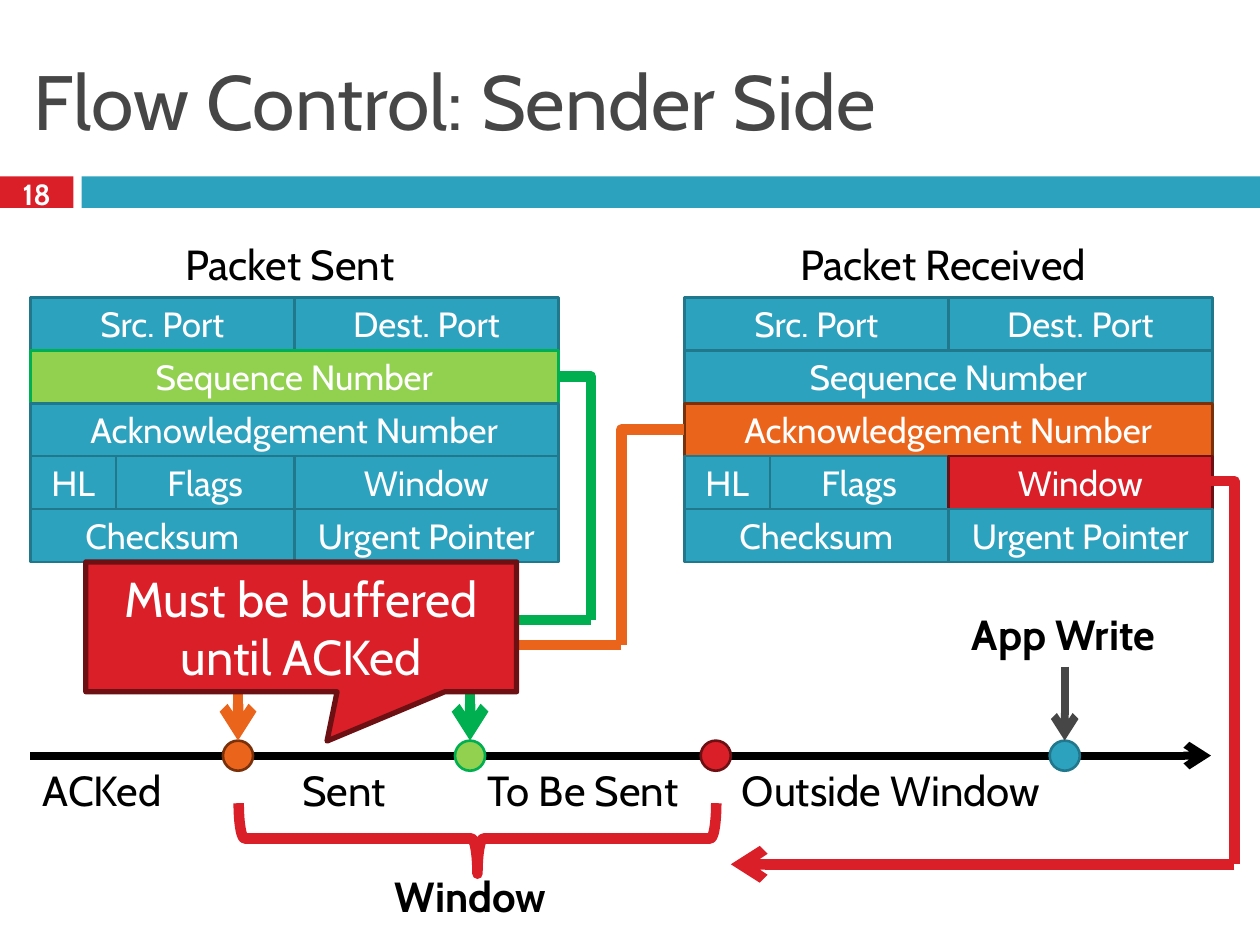
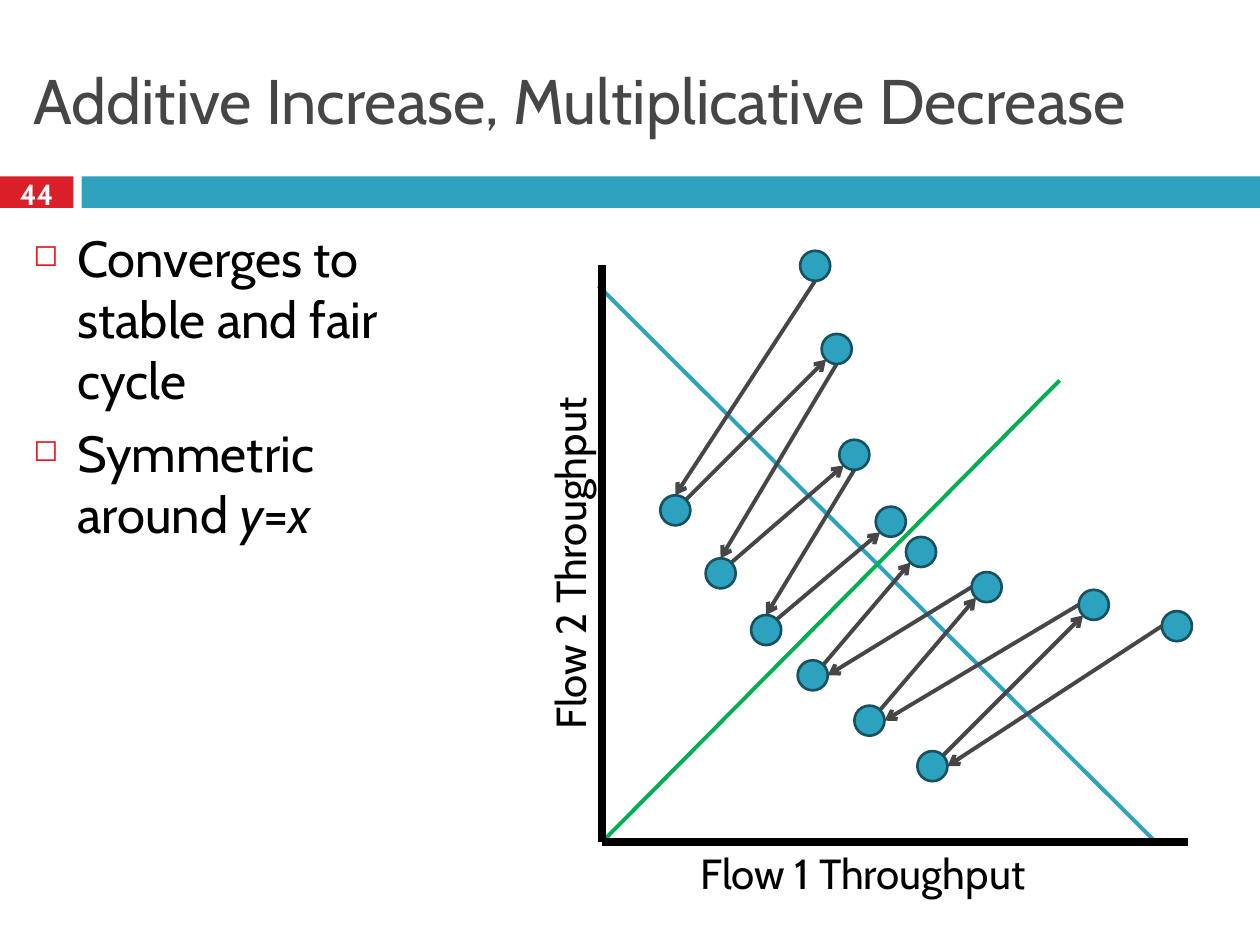
from lxml import etree
from pptx import Presentation
from pptx.dml.color import RGBColor
from pptx.enum.shapes import MSO_CONNECTOR, MSO_SHAPE
from pptx.enum.text import MSO_ANCHOR, PP_ALIGN
from pptx.oxml.ns import qn
from pptx.util import Pt

RECT, OVAL = MSO_SHAPE.RECTANGLE, MSO_SHAPE.OVAL
BRACE, CALLOUT = MSO_SHAPE.LEFT_BRACE, MSO_SHAPE.RECTANGULAR_CALLOUT
STRAIGHT, ELBOW = MSO_CONNECTOR.STRAIGHT, MSO_CONNECTOR.ELBOW
LEFT, CENTER = PP_ALIGN.LEFT, PP_ALIGN.CENTER
TOP, MIDDLE = MSO_ANCHOR.TOP, MSO_ANCHOR.MIDDLE

FONT = "Cabin"
BLACK, WHITE, GRAY = "000000", "FFFFFF", "464646"
TEAL, RED, ORANGE, LIME, GREEN = "2DA2BF", "DA1F28", "EB641B", "92D050", "00B050"
TEAL_STYLE = (TEAL, "21788D")
DOT_STYLE = (TEAL, "175160")
RED_STYLE = (RED, "6D1014")
ORANGE_STYLE = (ORANGE, "78310B")
GREEN_STYLE = (LIME, GREEN)

ROW_TOP, ROW_PITCH = 169.9, 30.25
HALF, HL_WIDTH = 150.9, 49
PACKET_ROWS = [
    [("Src. Port", HALF), ("Dest. Port", HALF)],
    [("Sequence Number", 2 * HALF)],
    [("Acknowledgement Number", 2 * HALF)],
    [("HL", HL_WIDTH), ("Flags", HALF - HL_WIDTH), ("Window", HALF)],
    [("Checksum", HALF), ("Urgent Pointer", HALF)],
]
SENT_LEFT, RECEIVED_LEFT = 17.3, 391
TIMELINE_Y = 431.8
ACKED_X, SENT_X, WINDOW_X, WRITE_X = 136, 268.6, 409, 608.4

RADIUS, DIAGONAL = 8.6, 6.1
UPPER_CYCLE = [(465.8, 151.9), (385.9, 291.6), (478.1, 199.4), (411.8, 327.6),
               (488.2, 259.9), (437.8, 360), (509, 298.1)]
LOWER_CYCLE = [(672.5, 357.8), (532.8, 437.8), (625, 345.6), (496.8, 411.8),
               (563.8, 335.5), (464.4, 385.9), (526.3, 315.4)]


def color(value):
    return RGBColor.from_string(value)


def write(p, text, size=24, fill=BLACK, bold=False, italic=False):
    r = p.add_run()
    r.text = text
    r.font.name = FONT
    r.font.size = Pt(size)
    r.font.bold = bold
    r.font.italic = italic
    r.font.color.rgb = color(fill)


def fill_frame(sp, text, align=LEFT, anchor=TOP, wrap=True, **fmt):
    tf = sp.text_frame
    tf.word_wrap = wrap
    tf.vertical_anchor = anchor
    p = tf.paragraphs[0]
    p.alignment = align
    write(p, text, **fmt)


def add_text(s, text, x, y, w, h, rotation=0, **fmt):
    sp = s.shapes.add_textbox(Pt(x), Pt(y), Pt(w), Pt(h))
    sp.rotation = rotation
    fill_frame(sp, text, **fmt)


def add_label(s, text, x, y, w, **fmt):
    add_text(s, text, x, y, w, 36, wrap=False, **fmt)


def add_box(s, kind, x, y, w, h, fill=None, line=None, width=1.5):
    sp = s.shapes.add_shape(kind, Pt(x), Pt(y), Pt(w), Pt(h))
    sp.shadow.inherit = False
    if fill:
        sp.fill.solid()
        sp.fill.fore_color.rgb = color(fill)
    else:
        sp.fill.background()
    if line:
        sp.line.color.rgb = color(line)
        sp.line.width = Pt(width)
    else:
        sp.line.fill.background()
    return sp


def add_dot(s, x, y, style):
    add_box(s, OVAL, x - RADIUS, y - RADIUS, 2 * RADIUS, 2 * RADIUS, *style)


def add_line(s, start, end, line, width, arrow=False, kind=STRAIGHT):
    cn = s.shapes.add_connector(kind, *map(Pt, start + end))
    cn.line.color.rgb = color(line)
    cn.line.width = Pt(width)
    if arrow:
        etree.SubElement(cn.line._get_or_add_ln(), qn("a:tailEnd"), type="arrow")
    sppr = cn._element.spPr
    etree.SubElement(sppr, qn("a:effectLst"))
    return sppr


def add_elbow(s, start, end, line, arrow=False):
    sppr = add_line(s, start, end, line, 6, arrow, ELBOW)
    sppr.find(qn("a:prstGeom")).set("prst", "bentConnector2")
    if end[0] < start[0]:
        xfrm = sppr.find(qn("a:xfrm"))
        xfrm.attrib.pop("flipH")
        xfrm.set("rot", "10800000")
        xfrm.set("flipV", "1")


def add_bullets(s, items, x, y, w, h, size):
    tf = s.shapes.add_textbox(Pt(x), Pt(y), Pt(w), Pt(h)).text_frame
    tf.word_wrap = True
    for i, runs in enumerate(items):
        p = tf.add_paragraph() if i else tf.paragraphs[0]
        ppr = p._p.get_or_add_pPr()
        ppr.set("marL", str(Pt(25.2)))
        ppr.set("indent", str(-Pt(25.2)))
        bullet_color = etree.SubElement(ppr, qn("a:buClr"))
        etree.SubElement(bullet_color, qn("a:srgbClr"), val=RED)
        etree.SubElement(ppr, qn("a:buSzPct"), val="60000")
        etree.SubElement(ppr, qn("a:buChar"), char="◻")
        if i:
            p.space_before = Pt(7)
        for text, italic in runs:
            write(p, text, size=size, italic=italic)


def add_base(prs, title, number, size):
    s = prs.slides.add_slide(prs.slide_layouts[6])
    add_box(s, RECT, 0, 100.8, 42, 18, RED)
    add_box(s, RECT, 46.6, 100.8, 673.4, 18, TEAL)
    add_text(s, title, 12, 18, 696, 78, anchor=MIDDLE, size=size, fill=GRAY)
    add_text(s, number, 0, 98.8, 42, 24, align=CENTER, anchor=MIDDLE,
             size=16.6, fill=WHITE, bold=True)
    return s


def add_packet(s, left, highlights):
    for i, row in enumerate(PACKET_ROWS):
        x = left
        for field, width in row:
            style = highlights.get(field, TEAL_STYLE)
            sp = add_box(s, RECT, x, ROW_TOP + i * ROW_PITCH, width, ROW_PITCH, *style)
            fill_frame(sp, field, align=CENTER, anchor=MIDDLE, size=20, fill=WHITE)
            x += width


def add_cycle(s, points, dx, dy):
    for i, ((x1, y1), (x2, y2)) in enumerate(zip(points, points[1:])):
        if i % 2:
            ox, oy = DIAGONAL, -DIAGONAL
        else:
            ox, oy = dx * RADIUS, dy * RADIUS
        add_line(s, (x1 + ox, y1 + oy), (x2 - ox, y2 - oy), GRAY, 2.25, arrow=True)
    for x, y in points:
        add_dot(s, x, y, DOT_STYLE)


def build_sender_side(prs):
    s = add_base(prs, "Flow Control: Sender Side", "18", 44)
    add_label(s, "Packet Sent", 92.9, 132.5, 145.4, align=CENTER)
    add_label(s, "Packet Received", 440.6, 132.5, 196.6, align=CENTER)
    add_packet(s, SENT_LEFT, {"Sequence Number": GREEN_STYLE})
    add_packet(s, RECEIVED_LEFT, {"Acknowledgement Number": ORANGE_STYLE,
                                  "Window": RED_STYLE})

    add_line(s, (17.3, TIMELINE_Y), (692, TIMELINE_Y), BLACK, 4.5, arrow=True)
    for text, x, w in [("ACKed", 17.3, 91.4), ("Sent", 165.6, 64.1),
                       ("To Be Sent", 271.4, 133.2), ("Outside Window", 416.9, 190.8)]:
        add_label(s, text, x, 433.4, w)
    for x, style in [(ACKED_X, ORANGE_STYLE), (SENT_X, GREEN_STYLE),
                     (WINDOW_X, RED_STYLE), (WRITE_X, TEAL_STYLE)]:
        add_dot(s, x, TIMELINE_Y, style)

    arrow_y = TIMELINE_Y - RADIUS
    for start, corner, x, line in [((391, 245.5), (355, 368.6), ACKED_X, ORANGE),
                                   ((319, 215.3), (337.7, 354.2), SENT_X, GREEN)]:
        add_elbow(s, start, corner, line)
        add_elbow(s, corner, (x, arrow_y), line, arrow=True)

    brace = add_box(s, BRACE, 252.7, 342.7, 40.3, 272.9, None, RED, 6)
    brace.rotation = 270
    add_label(s, "Window", 215.3, 493.9, 107.3, align=CENTER, bold=True)
    add_elbow(s, (692, 275), (705.3, 493.9), RED)
    add_line(s, (705.3, 493.9), (417.6, 493.9), RED, 6, arrow=True)
    add_label(s, "App Write", 543.6, 344.2, 128.2, align=CENTER, bold=True)
    add_line(s, (WRITE_X, 380.9), (WRITE_X, arrow_y), GRAY, 4.5, arrow=True)

    note = add_box(s, CALLOUT, 49, 321.1, 246.2, 74.2, *RED_STYLE, width=3)
    note.adjustments[0] = 0.06
    note.adjustments[1] = 0.88
    fill_frame(note, "Must be buffered until ACKed", align=CENTER, anchor=MIDDLE,
               size=28, fill=WHITE)


def build_convergence(prs):
    s = add_base(prs, "Additive Increase, Multiplicative Decrease", "44", 36)
    add_bullets(s, [
        [("Converges to stable and fair cycle", False)],
        [("Symmetric around ", False), ("y", True), ("=", False), ("x", True)],
    ], 12, 126, 240.5, 402, 29)
    add_label(s, "Flow 1 Throughput", 393.1, 481, 216)
    add_label(s, "Flow 2 Throughput", 217.4, 298.1, 216, rotation=270)
    origin = (344.2, 481)
    add_line(s, (342, 163.4), (660.2, 481), TEAL, 2.25)
    add_line(s, origin, (605.5, 217.4), GREEN, 2.25)
    add_line(s, origin, (679, 481), BLACK, 4.5)
    add_line(s, origin, (344.2, 151.2), BLACK, 4.5)
    add_cycle(s, UPPER_CYCLE, 0, 1)
    add_cycle(s, LOWER_CYCLE, -1, 0)


def main():
    prs = Presentation()
    prs.slide_width, prs.slide_height = Pt(720), Pt(540)
    build_sender_side(prs)
    build_convergence(prs)
    prs.save("out.pptx")


if __name__ == "__main__":
    main()
